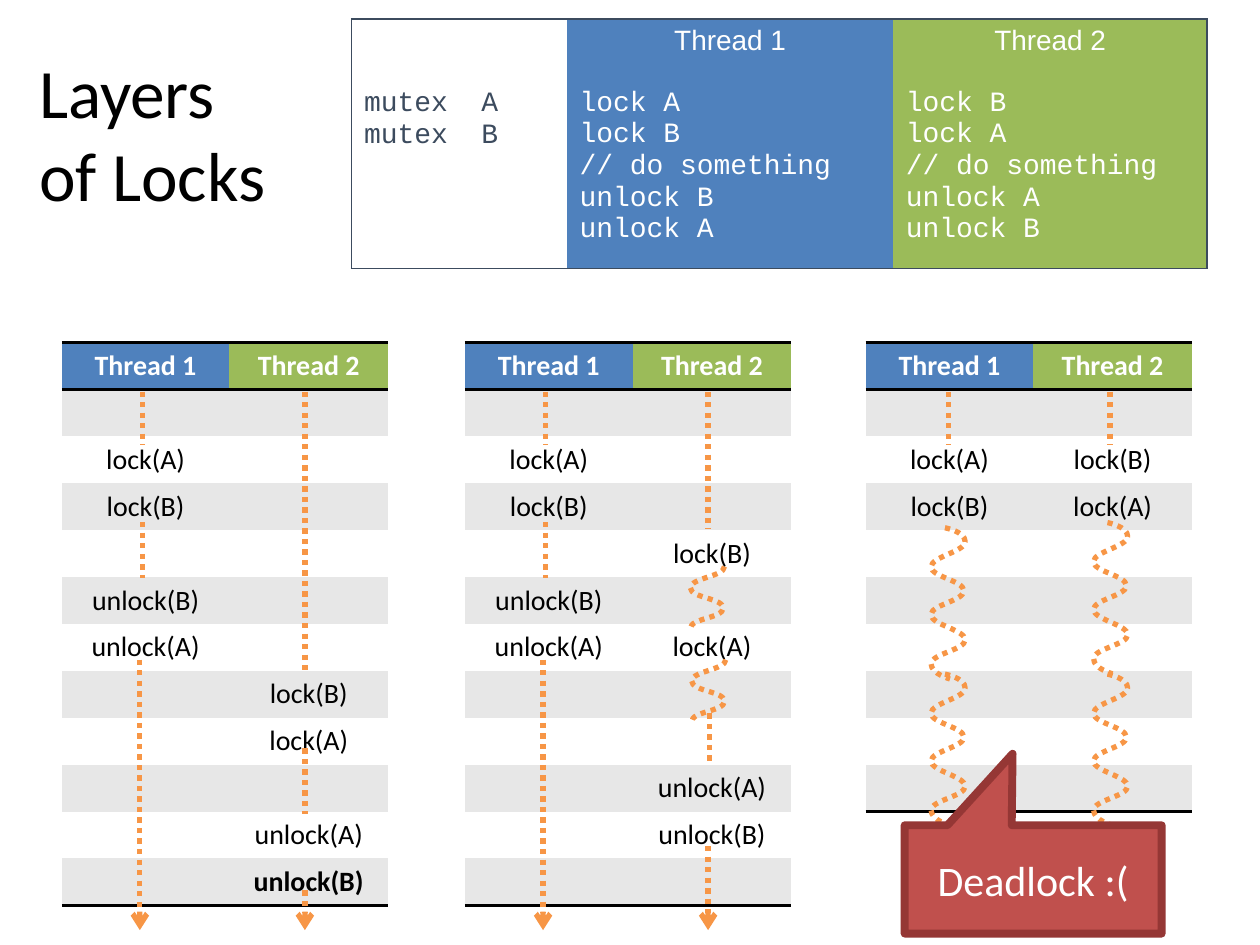
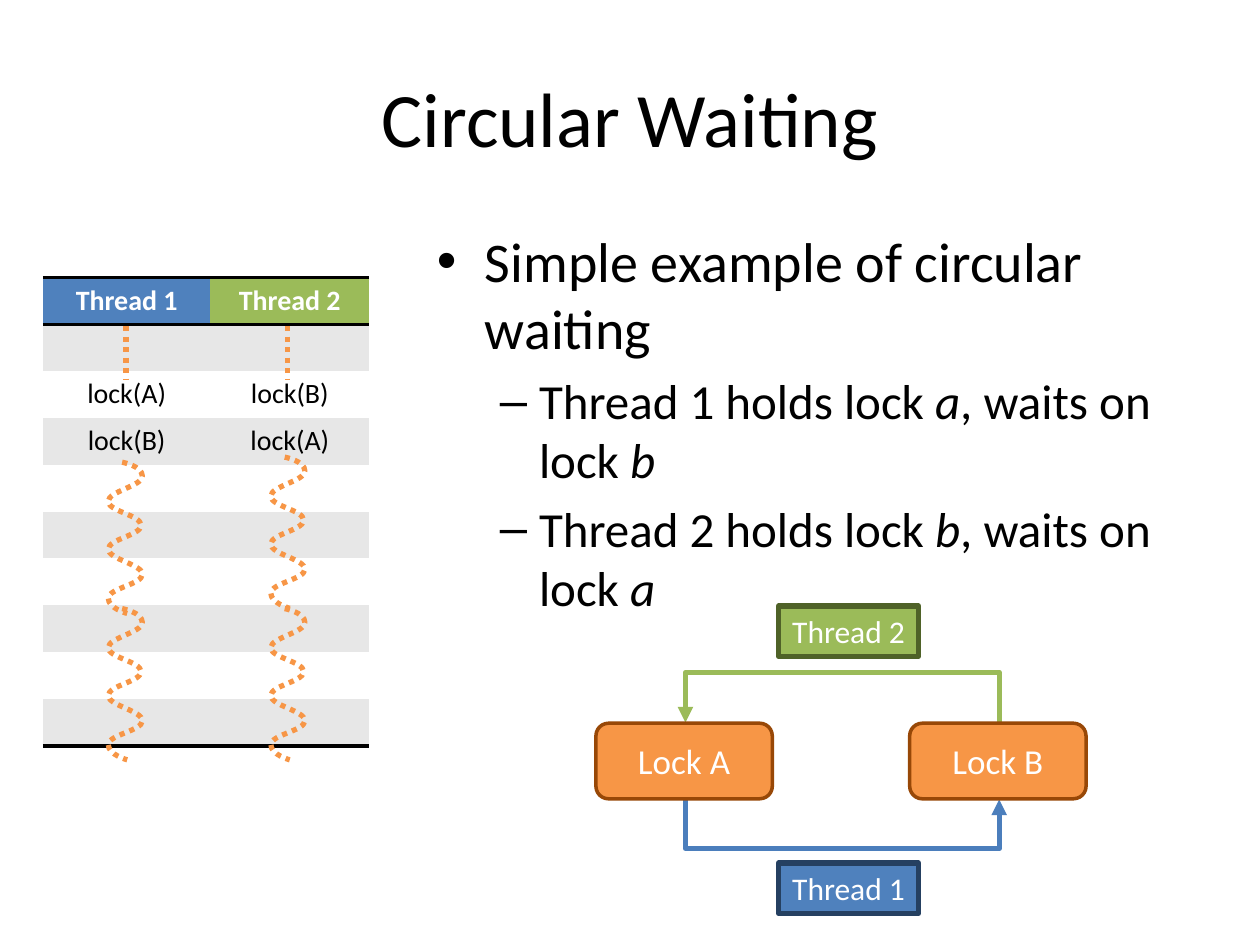
"""Builds two slides on lock ordering, deadlock and circular waiting."""
from lxml import etree
from pptx import Presentation
from pptx import util as u
from pptx.dml.color import RGBColor
from pptx.enum import shapes, text
from pptx.oxml.ns import qn

BLACK = RGBColor(0x00, 0x00, 0x00)
WHITE = RGBColor(0xFF, 0xFF, 0xFF)
GRAY = RGBColor(0xE7, 0xE7, 0xE7)
SLATE = RGBColor(0x3C, 0x4B, 0x5E)
BLUE = RGBColor(0x4F, 0x81, 0xBD)
ARROW_BLUE = RGBColor(0x4B, 0x7E, 0xBC)
DARK_BLUE = RGBColor(0x25, 0x40, 0x61)
GREEN = RGBColor(0x9B, 0xBB, 0x59)
DARK_GREEN = RGBColor(0x4F, 0x62, 0x28)
ORANGE = RGBColor(0xF7, 0x96, 0x46)
BROWN = RGBColor(0x98, 0x48, 0x07)
RED = RGBColor(0xC0, 0x50, 0x4D)
DARK_RED = RGBColor(0x95, 0x37, 0x35)

NO_STYLE = "{2D5ABB26-0587-4C30-8999-92F81FD0307C}"
LEFT, CENTER = text.PP_ALIGN.LEFT, text.PP_ALIGN.CENTER
ROW = 0.37
COLS = (1.33, 1.26)


def write(tf, content, size=16, font="Calibri", color=BLACK, bold=False, align=CENTER):
    """Add a paragraph; newlines are line breaks and *marked* parts are italic."""
    p = tf.paragraphs[0]
    if p.runs:
        p = tf.add_paragraph()
    p.alignment = align
    if not content:
        p._p.get_or_add_endParaRPr().set("sz", str(size * 100))
    for i, part in enumerate(content.split("*")):
        for j, line in enumerate(part.split("\n")):
            if j:
                p.add_line_break()
            if line:
                r = p.add_run()
                r.text = line
                r.font.size, r.font.name = u.Pt(size), font
                r.font.bold, r.font.italic = bold, i % 2 == 1
                r.font.color.rgb = color
    return p


def stroke(parent, tag, color, width, dash="solid", head=None):
    """Append a line definition to shape or cell properties."""
    ln = etree.SubElement(parent, qn(tag), w=str(u.Pt(width)))
    fill = etree.SubElement(ln, qn("a:solidFill"))
    etree.SubElement(fill, qn("a:srgbClr"), val=str(color))
    etree.SubElement(ln, qn("a:prstDash"), val=dash)
    if head:
        etree.SubElement(ln, qn("a:tailEnd"), type=head)


prs = Presentation()
prs.slide_width, prs.slide_height = u.Inches(10), u.Inches(7.5)
layers, circular = [prs.slides.add_slide(prs.slide_layouts[5]) for _ in range(2)]

titles = [
    (layers, (0.21, 0.31, 9, 1.48), "Layers\nof Locks", 39.6, LEFT),
    (circular, (0.5, 0.3, 9, 1.25), "Circular Waiting", 44, CENTER),
]
for s, box, content, size, align in titles:
    sp = s.shapes.title
    sp.left, sp.top, sp.width, sp.height = map(u.Inches, box)
    sp.text_frame.vertical_anchor = text.MSO_ANCHOR.MIDDLE
    write(sp.text_frame, content, size=size, align=align)

# Pseudocode table
programs = [
    (1.71, None, ["mutex  A\nmutex  B"], WHITE, SLATE, "LTB"),
    (2.59, "Thread 1", ["lock A\nlock B\n// do something\nunlock B\nunlock A"], BLUE, WHITE, "TB"),
    (2.49, "Thread 2", ["lock B\nlock A\n// do something", "unlock A\nunlock B"], GREEN, WHITE, "RTB"),
]
table = layers.shapes.add_table(1, 3, *map(u.Inches, (2.79, 0.15, 6.79, 1.98))).table
for c, (width, heading, code, fill, color, sides) in enumerate(programs):
    table.columns[c].width = u.Inches(width)
    cell = table.cell(0, c)
    for side in sides:
        stroke(cell._tc.get_or_add_tcPr(), "a:ln" + side, SLATE, 1)
    cell.fill.solid()
    cell.fill.fore_color.rgb = fill
    if heading:
        p = write(cell.text_frame, heading, font="Arial", color=color)
        p.space_after = u.Pt(18)
    else:
        cell.margin_top = u.Inches(0.55)
    for block in code:
        write(cell.text_frame, block, font="Courier New", color=color, align=LEFT)

# Schedules: events per row, runs as (x, from row, to row, head),
# waits as (x, from row, turns, handle at both ends)
SHORT = [(0.27, 0), (0, 0.17), (0.26, 0.33), (0, 0.49)]
LONG = [(0.11, 0), (0.27, 0.11), (0, 0.31), (0.26, 0.5),
        (0, 0.69), (0.27, 0.89), (0, 1.08), (0.15, 1.2)]
HANDLE = 0.08
A_THEN_B = {2: "lock(A)", 3: "lock(B)", 5: "unlock(B)", 6: "unlock(A)"}
THREAD_1_RUNS = [(0.64, 1.05, 2.2, None), (0.64, 3.85, 5.05, None), (0.62, 6.8, 12.6, "arrow")]
serial = (
    12,
    (A_THEN_B, {7: "lock(B)", 8: "lock(A)", 10: "unlock(A)", 11: "unlock(B)"}),
    THREAD_1_RUNS + [(1.93, 1.05, 7.05, None), (1.93, 8.7, 10.1, None), (1.93, 11.75, 12.6, "arrow")],
    [],
)
waiting = (
    12,
    (A_THEN_B, {4: "lock(B)", 6: "lock(A)", 9: "unlock(A)", 10: "unlock(B)"}),
    THREAD_1_RUNS + [(1.93, 1.05, 4, None), (1.94, 7.95, 9.05, None), (1.93, 10.8, 12.6, "arrow")],
    [(1.79, 4.8, SHORT, HANDLE), (1.8, 6.8, SHORT, HANDLE)],
)
deadlock = (
    10,
    ({2: "lock(A)", 3: "lock(B)"}, {2: "lock(B)", 3: "lock(A)"}),
    [(0.66, 1.05, 2.2, None), (1.94, 1.05, 2.2, None)],
    [(x, row, LONG, 0) for x, row in [(0.52, 3.97), (0.52, 7.11), (1.81, 3.86), (1.81, 7.11)]],
)
placed = [
    (layers, 0.49, 2.72, serial),
    (layers, 3.69, 2.72, waiting),
    (layers, 6.87, 2.72, deadlock),
    (circular, 0.34, 2.2, deadlock),
]
for s, left, top, (rows, events, runs, waits) in placed:
    box = map(u.Inches, (left, top, sum(COLS), rows * ROW))
    table = s.shapes.add_table(rows, 2, *box).table
    for c, width in enumerate(COLS):
        table.columns[c].width = u.Inches(width)
        for r in range(rows):
            cell = table.cell(r, c)
            for side in "TB" if r == 0 else "B" if r == rows - 1 else "":
                stroke(cell._tc.get_or_add_tcPr(), "a:ln" + side, BLACK, 2)
            cell.fill.solid()
            if r == 0:
                cell.fill.fore_color.rgb = (BLUE, GREEN)[c]
                write(cell.text_frame, f"Thread {c + 1}", color=WHITE, bold=True)
            else:
                cell.fill.fore_color.rgb = GRAY if r % 2 else WHITE
                write(cell.text_frame, events[c].get(r, ""), bold=r == rows - 1)

    for lane, start, end, head in runs:
        x = u.Inches(left + lane)
        y1, y2 = u.Inches(top + start * ROW), u.Inches(top + end * ROW)
        sp = s.shapes.add_connector(shapes.MSO_CONNECTOR.STRAIGHT, x, y1, x, y2)
        stroke(sp._element.spPr, "a:ln", ORANGE, 3, "sysDot", head)
        etree.SubElement(sp._element.spPr, qn("a:effectLst"))

    for lane, start, turns, end_handle in waits:
        points = [(u.Inches(left + lane + x), u.Inches(top + start * ROW + y)) for x, y in turns]
        fb = s.shapes.build_freeform(*points[0])
        fb.add_line_segments(points[1:], close=False)
        sp = fb.convert_to_shape()
        sp.fill.background()
        stroke(sp._element.spPr, "a:ln", ORANGE, 3, "sysDot")
        sp.shadow.inherit = False
        handles = [end_handle] + [HANDLE] * (len(turns) - 2) + [end_handle]
        x1, y1 = points[0][0] - sp.left, points[0][1] - sp.top
        for n, seg in enumerate(list(sp._element.iter(qn("a:lnTo")))):
            x2, y2 = points[n + 1][0] - sp.left, points[n + 1][1] - sp.top
            curve = etree.Element(qn("a:cubicBezTo"))
            out, into = u.Inches(handles[n]), u.Inches(handles[n + 1])
            for x, y in [(x1, y1 + out), (x2, y2 - into), (x2, y2)]:
                etree.SubElement(curve, qn("a:pt"), x=str(x), y=str(y))
            seg.getparent().replace(seg, curve)
            x1, y1 = x2, y2

for s in prs.slides:
    for sp in s.shapes:
        if sp.has_table:
            sp.table.first_row = sp.table.horz_banding = False
            sp.table._tbl.tblPr.find(qn("a:tableStyleId")).text = NO_STYLE

# Bulleted text
sp = circular.shapes.add_textbox(*map(u.Inches, (3.37, 1.75, 6.13, 3.3)))
tf = sp.text_frame
tf.word_wrap = True
bullets = [
    ("Simple example of circular waiting", 0, 32, "•", 0.38, 0.38),
    ("Thread 1 holds lock *a*, waits on lock *b*", 1, 28, "–", 0.81, 0.31),
    ("Thread 2 holds lock *b*, waits on lock *a*", 1, 28, "–", 0.81, 0.31),
]
for content, level, size, mark, margin, hang in bullets:
    p = write(tf, content, size=size, align=LEFT)
    p.level, p.space_before = level, u.Pt(size * 0.2)
    pPr = p._p.get_or_add_pPr()
    pPr.set("marL", str(u.Inches(margin)))
    pPr.set("indent", str(-u.Inches(hang)))
    etree.SubElement(pPr, qn("a:buFont"), typeface="Arial")
    etree.SubElement(pPr, qn("a:buChar"), char=mark)

# Cycle arrows: narrow elbows turned a quarter, bending outwards
for y, flip, bend, color in [(6.34, "flipH", 40.5, ARROW_BLUE), (5.74, "flipV", 41.5, GREEN)]:
    box = map(u.Inches, (6.68, y - 1.245, 6.69, y + 1.245))
    sp = circular.shapes.add_connector(shapes.MSO_CONNECTOR.ELBOW, *box)
    spPr = sp._element.spPr
    xfrm = spPr.find(qn("a:xfrm"))
    xfrm.set("rot", str(270 * 60000))
    xfrm.set(flip, "1")
    geom = spPr.find(qn("a:prstGeom"))
    guides = geom.find(qn("a:avLst"))
    if guides is None:
        guides = etree.SubElement(geom, qn("a:avLst"))
    etree.SubElement(guides, qn("a:gd"), name="adj1", fmla=f"val {int(bend * 100000)}")
    stroke(spPr, "a:ln", color, 3, head="triangle")
    etree.SubElement(spPr, qn("a:effectLst"))

# Boxes and callout
KIND = shapes.MSO_SHAPE
boxes = [
    (layers, KIND.RECTANGULAR_CALLOUT, (7.18, 6.55, 2.04, 0.86), "Deadlock :(", 24, RED, DARK_RED, 4.5),
    (circular, KIND.ROUNDED_RECTANGLE, (4.73, 5.74, 1.4, 0.6), "Lock A", 20, ORANGE, BROWN, 2),
    (circular, KIND.ROUNDED_RECTANGLE, (7.22, 5.74, 1.4, 0.6), "Lock B", 20, ORANGE, BROWN, 2),
    (circular, KIND.RECTANGLE, (6.18, 4.81, 1.11, 0.4), "Thread 2", 18, GREEN, DARK_GREEN, 3),
    (circular, KIND.RECTANGLE, (6.18, 6.85, 1.11, 0.4), "Thread 1", 18, BLUE, DARK_BLUE, 3),
]
for s, kind, box, content, size, fill, line, width in boxes:
    sp = s.shapes.add_shape(kind, *map(u.Inches, box))
    sp.shadow.inherit = False
    sp.fill.solid()
    sp.fill.fore_color.rgb = fill
    sp.line.color.rgb, sp.line.width = line, u.Pt(width)
    tf = sp.text_frame
    tf.vertical_anchor = text.MSO_ANCHOR.MIDDLE
    tf.word_wrap = kind != KIND.RECTANGLE
    write(tf, content, size=size, color=WHITE)
    if kind == KIND.RECTANGULAR_CALLOUT:
        sp.adjustments[0], sp.adjustments[1] = -0.08, -1.16

prs.save("out.pptx")
